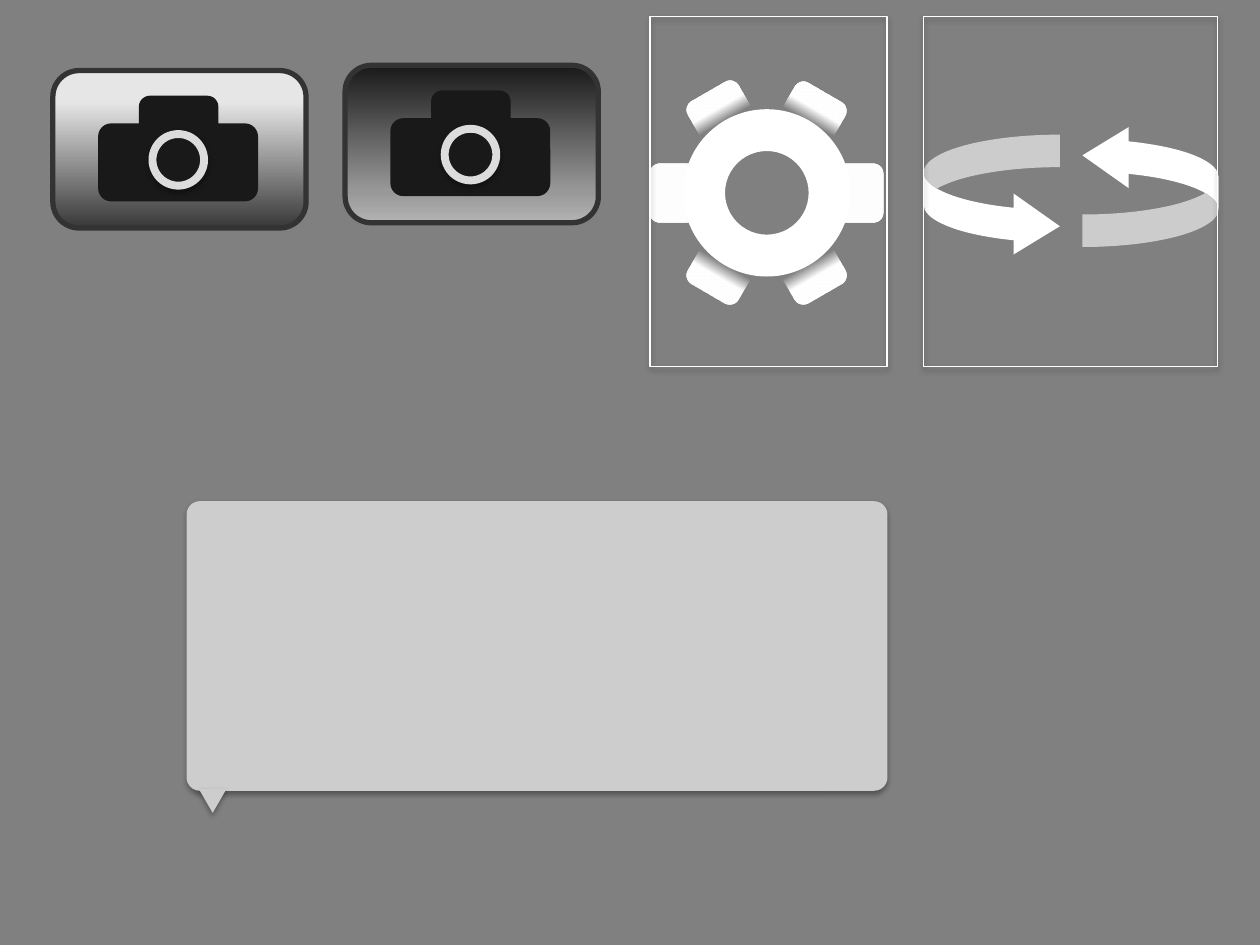
from dataclasses import dataclass

from lxml import etree
from pptx import Presentation
from pptx.dml import color
from pptx.enum import shapes
from pptx.oxml import ns
from pptx.util import Pt

KIND = shapes.MSO_SHAPE


@dataclass(frozen=True)
class Theme:
    back: str = "808080"
    dark: str = "191919"
    edge: str = "333333"
    ring: str = "DCDCDC"
    white: str = "FFFFFF"
    note: str = "CDCDCD"
    light: tuple = ((0, "E6E6E6", 100), (20, "E6E6E6", 100), (100, "383838", 100))
    deep: tuple = ((0, "191919", 100), (80, "989898", 100), (100, "B3B3B3", 100))
    tooth: tuple = tuple((pos, "FFFFFF", alpha) for pos, alpha in
                         ((0, 100), (16, 100), (21, 0), (79, 0), (84, 100), (100, 100)))


def node(top, tag, **attrs):
    return etree.SubElement(top, ns.qn(tag), {key: str(val) for key, val in attrs.items()})


class Deck:
    """Draw the icons and the callout on one slide."""

    def __init__(self, theme):
        self.theme = theme
        self.prs = Presentation()
        self.prs.slide_width, self.prs.slide_height = Pt(720), Pt(540)
        self.slide = self.prs.slides.add_slide(self.prs.slide_layouts[6])
        fill = self.slide.background.fill
        fill.solid()
        fill.fore_color.rgb = color.RGBColor.from_string(theme.back)

    def group(self):
        return self.slide.shapes.add_group_shape().shapes

    def shape(self, kind, box, fill=None, line=None, width=0, shade=False,
              adj=(), turn=0, angle=0, home=None):
        item = (self.slide.shapes if home is None else home).add_shape(kind, *map(Pt, box))
        item.rotation = turn
        for i, val in enumerate(adj):
            item.adjustments[i] = val
        if isinstance(fill, str):
            item.fill.solid()
            item.fill.fore_color.rgb = color.RGBColor.from_string(fill)
        else:
            item.fill.background()
            if fill:
                self.blend(item, fill, angle)
        if line:
            item.line.color.rgb = color.RGBColor.from_string(line)
            item.line.width = Pt(width)
        else:
            item.line.fill.background()
        item.shadow.inherit = False
        if shade:
            self.shade(item)

    def blend(self, item, stops, angle):
        props = item._element.spPr
        grad = etree.Element(ns.qn("a:gradFill"), rotWithShape="1")
        props.replace(props.find(ns.qn("a:noFill")), grad)
        rows = node(grad, "a:gsLst")
        for pos, tone, alpha in stops:
            rgb = node(node(rows, "a:gs", pos=pos * 1000), "a:srgbClr", val=tone)
            if alpha < 100:
                node(rgb, "a:alpha", val=alpha * 1000)
        node(grad, "a:lin", ang=angle * 60000, scaled=0)

    def shade(self, item):
        effect = item._element.spPr.find(ns.qn("a:effectLst"))
        drop = node(effect, "a:outerShdw", blurRad=Pt(3.1), dist=Pt(1.8),
                    dir=90 * 60000, rotWithShape=0)
        node(node(drop, "a:srgbClr", val="000000"), "a:alpha", val=35000)

    def camera(self, x, y, fill):
        look = self.theme
        self.shape(KIND.ROUNDED_RECTANGLE, (x, y, 144.7, 90), fill, look.edge, 3, angle=90)
        home = self.group()
        for dx, dy, w, h in ((25.9, 30.2, 91.4, 44.6), (49.2, 14.4, 45.4, 37.4)):
            self.shape(KIND.ROUNDED_RECTANGLE, (x + dx, y + dy, w, h), look.dark, home=home)
        self.shape(KIND.OVAL, (x + 56.9, y + 36.3, 29.5, 29.5), look.dark,
                   look.ring, 4.5, True, home=home)

    def frame(self, x, w):
        self.shape(KIND.RECTANGLE, (x, 9.4, w, 200), None, self.theme.white, 0.75, True)

    def swap(self):
        home = self.group()
        for x, y, turn in ((527.8, 77, 0), (618.5, 71.3, 180)):
            self.shape(KIND.CURVED_RIGHT_ARROW, (x, y, 77.8, 69.8), self.theme.white,
                       adj=(0.266, 0.5, 0.379), turn=turn, home=home)
        self.frame(527.8, 168)

    def gear(self):
        home = self.group()
        for turn in (0, 60, 300.2):
            self.shape(KIND.ROUNDED_RECTANGLE, (371.5, 93.4, 133.2, 33.8), self.theme.tooth,
                       adj=(0.177,), turn=turn, home=home)
        self.shape(KIND.DONUT, (390.4, 62.4, 95.6, 95.6), self.theme.white, home=home)
        self.frame(371.5, 135.4)

    def note(self):
        home = self.group()
        tone = self.theme.note
        self.shape(KIND.ROUNDED_RECTANGLE, (106.6, 286.4, 400.5, 165.5), tone,
                   shade=True, adj=(0.046,), home=home)
        self.shape(KIND.ISOSCELES_TRIANGLE, (113.6, 450.8, 15.8, 13.7), tone,
                   shade=True, turn=180, home=home)


def main():
    look = Theme()
    deck = Deck(look)
    deck.camera(30.2, 40.3, look.light)
    deck.swap()
    deck.gear()
    deck.camera(197.2, 37.3, look.deep)
    deck.note()
    deck.prs.save("out.pptx")


if __name__ == "__main__":
    main()
